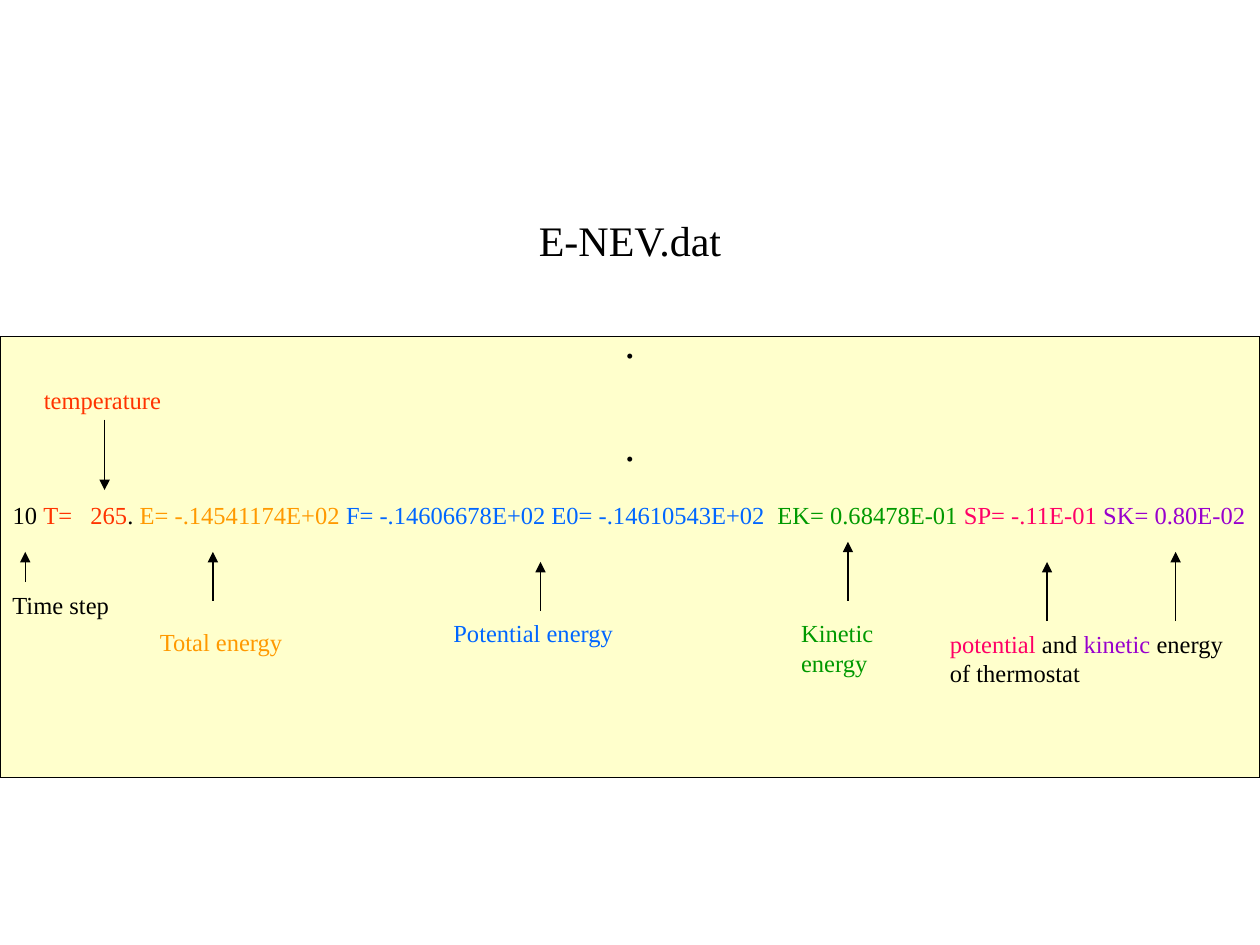
from typing import NamedTuple

from lxml.etree import SubElement
from pptx import Presentation
from pptx.dml.color import RGBColor
from pptx.enum.shapes import MSO_CONNECTOR as Connector, MSO_SHAPE as Preset
from pptx.enum.text import MSO_ANCHOR as Anchor, MSO_AUTO_SIZE as AutoSize, PP_ALIGN as Align
from pptx.oxml.ns import qn
from pptx.util import Inches, Pt

COLUMNS, ROWS = 100, 75
FONT = "Times New Roman"
BLACK, CREAM = "000000", "FFFFCC"
RED, ORANGE, BLUE = "FF3300", "FF9900", "0066FF"
GREEN, PINK, PURPLE = "009900", "FF0066", "9900CC"


class Phrase(NamedTuple):
    text: str
    color: str = BLACK


class Label(NamedTuple):
    column: float
    row: float
    columns: float
    rows: float
    phrases: tuple[Phrase, ...]


class Arrow(NamedTuple):
    column: float
    start_row: float
    end_row: float


RECORD = (
    Phrase("10 "),
    Phrase("T=   265", RED),
    Phrase(". "),
    Phrase("E= -.14541174E+02 ", ORANGE),
    Phrase("F= -.14606678E+02 E0= -.14610543E+02  ", BLUE),
    Phrase("EK= 0.68478E-01 ", GREEN),
    Phrase("SP= -.11E-01 ", PINK),
    Phrase("SK= 0.80E-02", PURPLE),
)
LABELS = (
    Label(2.5, 30.1, 16.5, 3.4, (Phrase("temperature", RED),)),
    Label(0, 46.3, 10.6, 3.4, (Phrase("Time step"),)),
    Label(11.7, 49.3, 13.4, 3.4, (Phrase("Total energy", ORANGE),)),
    Label(35, 48.6, 26, 3.4, (Phrase("Potential energy", BLUE),)),
    Label(62.6, 48.6, 13.4, 5.7, (Phrase("Kinetic energy", GREEN),)),
    Label(74.4, 49.4, 25.6, 5.7, (
        Phrase("potential", PINK),
        Phrase(" and "),
        Phrase("kinetic", PURPLE),
        Phrase(" energy of thermostat"),
    )),
)
ARROWS = (
    Arrow(8.3, 33.3, 38.9),
    Arrow(2, 46.2, 43.8),
    Arrow(16.9, 47.7, 43.8),
    Arrow(42.9, 48.5, 44.6),
    Arrow(67.3, 47.7, 43),
    Arrow(83.1, 49.3, 44.6),
    Arrow(93.3, 49.3, 43.8),
)


def rgb(color: str) -> RGBColor:
    """Turn a hex string into a colour."""
    return RGBColor.from_string(color)


def cell(deck, column: float, row: float) -> tuple[int, int]:
    """Convert a grid position to slide lengths."""
    return int(deck.slide_width * column / COLUMNS), int(deck.slide_height * row / ROWS)


def place(deck, shape, column: float, row: float, columns: float, rows: float) -> None:
    """Move and size a shape on the grid."""
    shape.left, shape.top = cell(deck, column, row)
    shape.width, shape.height = cell(deck, columns, rows)


def prepare(frame, anchor: Anchor = Anchor.TOP) -> None:
    """Wrap the text of a frame at a fixed size."""
    frame.word_wrap = True
    frame.auto_size = AutoSize.NONE
    frame.vertical_anchor = anchor


def write(paragraph, phrases: tuple[Phrase, ...], size: int = 14,
          align: Align = Align.LEFT, before: float = 0) -> None:
    """Fill a paragraph with coloured phrases and no bullet."""
    properties = paragraph._p.get_or_add_pPr()
    properties.set("marL", "0")
    properties.set("indent", "0")
    SubElement(properties, qn("a:buNone"))
    paragraph.alignment = align
    paragraph.space_before = Pt(before)
    paragraph.font.name = FONT
    paragraph.font.size = Pt(size)
    for phrase in phrases:
        run = paragraph.add_run()
        run.text = phrase.text
        run.font.color.rgb = rgb(phrase.color)


def draw_panel(deck, slide):
    """Draw the cream panel behind the record."""
    panel = slide.shapes.add_shape(
        Preset.RECTANGLE, *cell(deck, 0, 26.7), *cell(deck, COLUMNS, 35))
    panel.shadow.inherit = False
    panel.fill.solid()
    panel.fill.fore_color.rgb = rgb(CREAM)
    panel.line.color.rgb = rgb(BLACK)
    panel.line.width = Pt(0.75)
    return panel


def draw_label(deck, slide, label: Label) -> None:
    """Draw the explanation of one record field."""
    box = slide.shapes.add_textbox(
        *cell(deck, label.column, label.row), *cell(deck, label.columns, label.rows))
    prepare(box.text_frame)
    write(box.text_frame.paragraphs[0], label.phrases)


def draw_arrow(deck, slide, arrow: Arrow) -> None:
    """Draw a vertical arrow between a label and its field."""
    line = slide.shapes.add_connector(
        Connector.STRAIGHT,
        *cell(deck, arrow.column, arrow.start_row),
        *cell(deck, arrow.column, arrow.end_row))
    line.line.color.rgb = rgb(BLACK)
    line.line.width = Pt(0.75)
    SubElement(line.line._get_or_add_ln(), qn("a:tailEnd"), type="triangle")
    SubElement(line._element.spPr, qn("a:effectLst"))


def main() -> None:
    """Build and save the slide."""
    deck = Presentation()
    deck.slide_width, deck.slide_height = Inches(10), Inches(7.5)
    slide = deck.slides.add_slide(deck.slide_layouts[1])
    title, record = slide.placeholders

    title.element.addprevious(draw_panel(deck, slide).element)

    place(deck, title, 0, 16, COLUMNS, 6)
    prepare(title.text_frame, Anchor.MIDDLE)
    write(title.text_frame.paragraphs[0], (Phrase("E-NEV.dat"),), 24, Align.CENTER)

    place(deck, record, 0, 24.6, COLUMNS, 17.5)
    body = record.text_frame
    prepare(body)
    write(body.paragraphs[0], (Phrase("."),), 24, Align.CENTER)
    write(body.add_paragraph(), (Phrase("."),), 24, Align.CENTER, before=30)
    write(body.add_paragraph(), RECORD, before=17.7)

    for label in LABELS:
        draw_label(deck, slide, label)
    for arrow in ARROWS:
        draw_arrow(deck, slide, arrow)
    deck.save("out.pptx")


if __name__ == "__main__":
    main()
